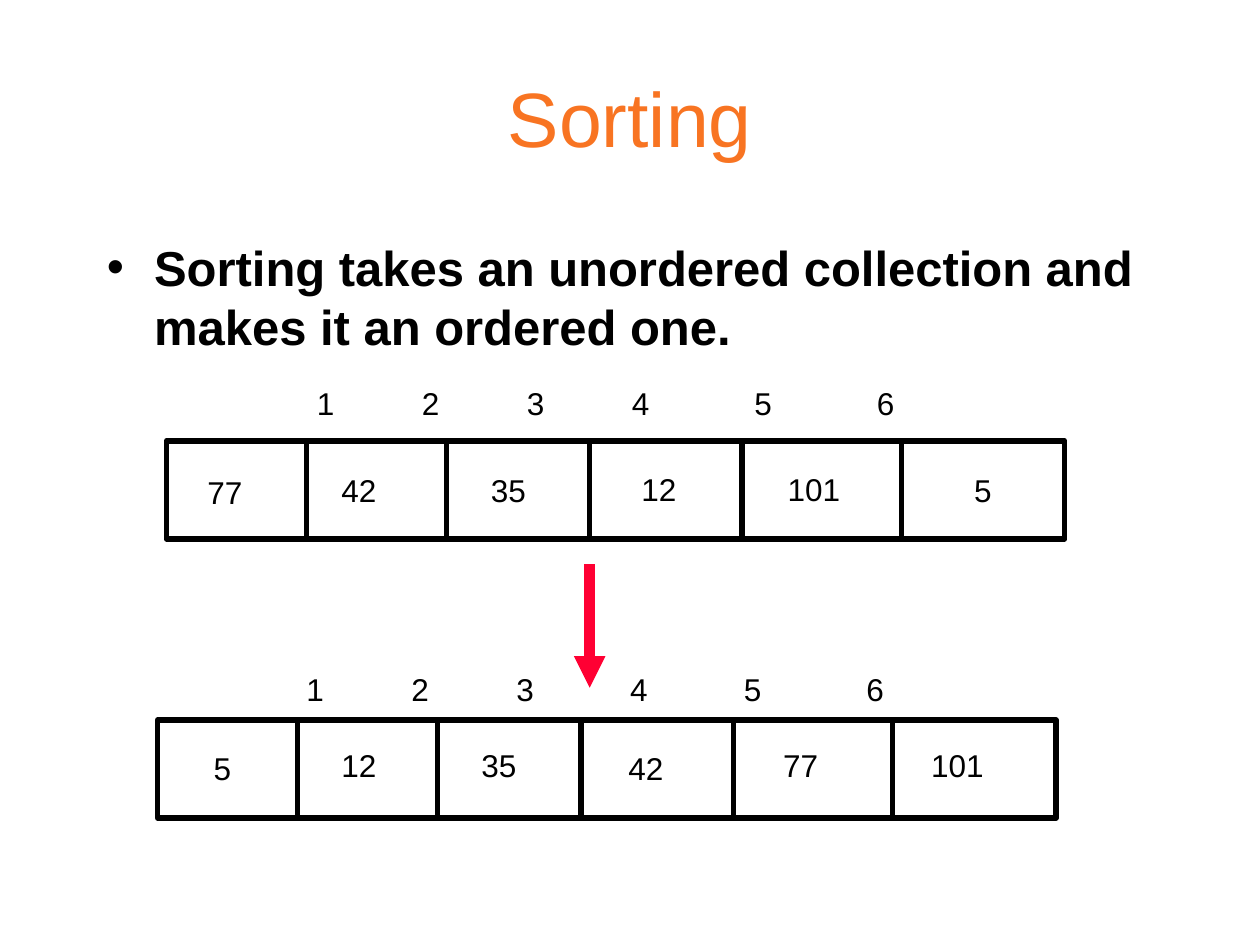
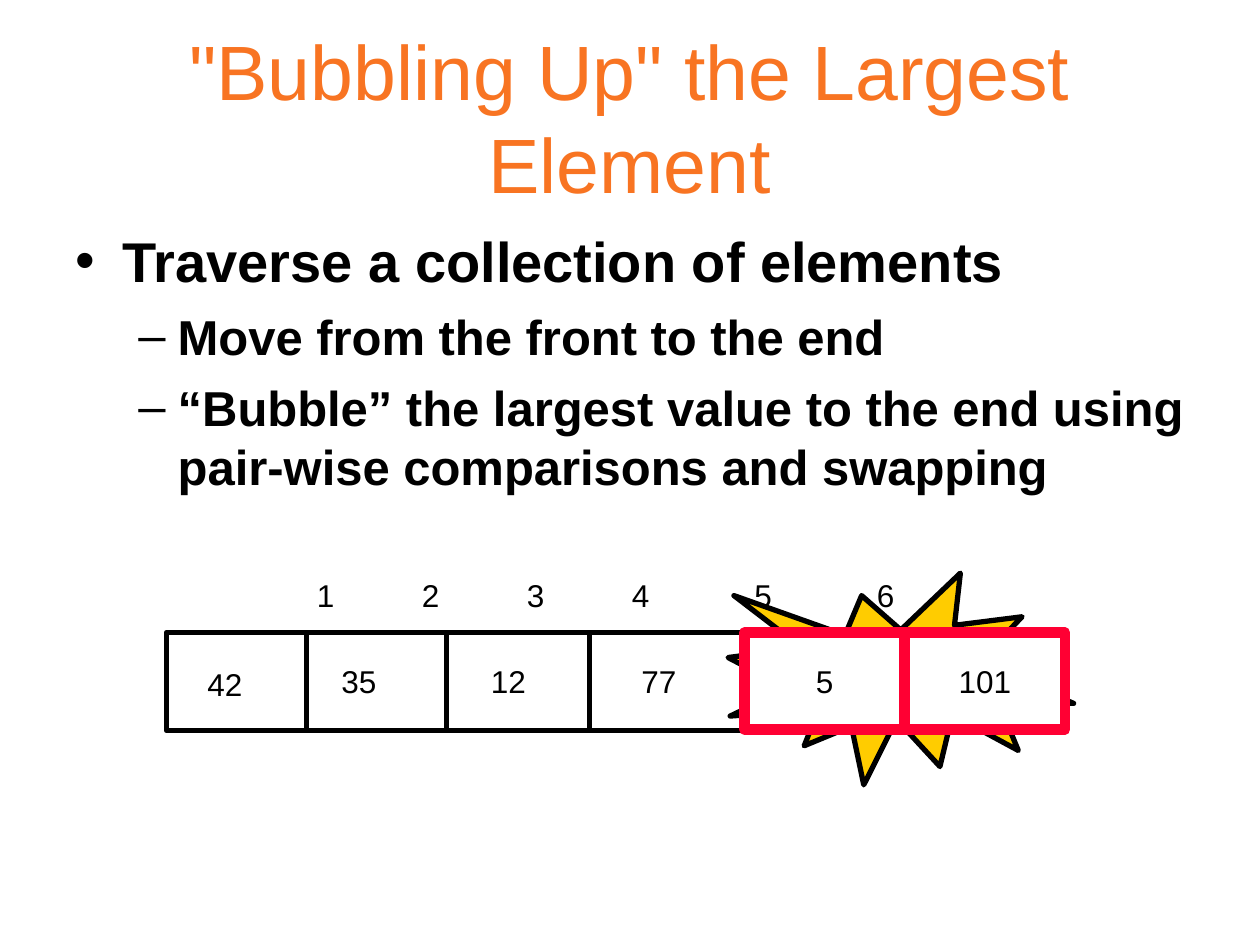
from lxml.etree import SubElement as Sub
from pptx import Presentation
from pptx.dml.color import RGBColor as RGB
from pptx.enum.shapes import MSO_CONNECTOR as Conn, MSO_SHAPE as Kind
from pptx.enum.text import MSO_ANCHOR as Anchor, MSO_AUTO_SIZE as Fit, PP_ALIGN as Align
from pptx.oxml.ns import qn
from pptx.util import Pt

ORANGE, BLACK, WHITE = "F87422", "000000", "FFFFFF"
RED, GOLD = "FF0033", "FFCC00"
EDGES = [0, 80, 160, 242, 329, 420, 513.5]  # cell borders from the row's left
DEEP = 56  # height of a row of cells
MARK_H = 29  # height of a one-line label
LEVELS = [("•", 27, -27), ("–", 58.5, -22.5)]  # bullet, margin, indent


def tint(code):
    """Turn a hex string into a colour."""
    return RGB.from_string(code)


class Deck:
    """Holds the style and the current slide."""

    face = "Arial"

    def __init__(self):
        """Start an empty 10 by 7.5 inch deck."""
        self.file = Presentation()
        self.file.slide_width, self.file.slide_height = Pt(720), Pt(540)
        self.slide = None

    def style(self, para, size, color=BLACK, bold=False):
        """Set the font of a whole paragraph."""
        font = para.font
        font.name, font.size, font.bold = self.face, Pt(size), bold
        font.color.rgb = tint(color)

    def page(self, title):
        """Add a slide with its title."""
        self.slide = self.file.slides.add_slide(self.file.slide_layouts[5])
        head = self.slide.shapes.title
        head.left, head.top, head.width, head.height = map(Pt, (36, 21.5, 648, 90))
        frame = head.text_frame
        frame.text = title
        frame.word_wrap, frame.auto_size = True, Fit.NONE
        frame.vertical_anchor = Anchor.MIDDLE
        para = frame.paragraphs[0]
        para.alignment = Align.CENTER
        self.style(para, 44, ORANGE)

    def box(self, x, y, wide, high):
        """Add an empty text box and return its frame."""
        area = self.slide.shapes.add_textbox(Pt(x), Pt(y), Pt(wide), Pt(high))
        return area.text_frame

    def points(self, x, y, wide, high, items):
        """Add a bulleted list of (level, size, space before, text)."""
        frame = self.box(x, y, wide, high)
        frame.word_wrap = True
        for num, (level, size, gap, text) in enumerate(items):
            para = frame.add_paragraph() if num else frame.paragraphs[0]
            para.text, para.level = text, level
            para.space_before = Pt(gap)
            sign, left, dent = LEVELS[level]
            props = para._p.get_or_add_pPr()
            props.set("marL", str(Pt(left)))
            props.set("indent", str(Pt(dent)))
            hue = Sub(props, qn("a:buClr"))
            Sub(hue, qn("a:srgbClr"), val=BLACK)
            Sub(props, qn("a:buFont"), typeface=self.face)
            Sub(props, qn("a:buChar"), char=sign)
            self.style(para, size, bold=True)

    def label(self, x, y, text, wide=None, stops=()):
        """Add one unwrapped line of text, with tab stops if given."""
        frame = self.box(x, y, wide or 14.4 + 10 * len(text), MARK_H)
        frame.word_wrap, frame.auto_size = False, Fit.SHAPE_TO_FIT_TEXT
        para = frame.paragraphs[0]
        para.text = text
        if stops:
            tabs = Sub(para._p.get_or_add_pPr(), qn("a:tabLst"))
            for stop in stops:
                Sub(tabs, qn("a:tab"), pos=str(Pt(stop)), algn="l")
        self.style(para, 18)

    def index(self, x, y, stops):
        """Add the cell numbers 1 to 6 over a row."""
        self.label(x, y, "\t".join("123456"), 345, stops)

    def shape(self, kind, x, y, wide, high, fill=None, line=BLACK, thick=3, text=""):
        """Add an outlined shape, with a fill and centred text if given."""
        form = self.slide.shapes.add_shape(kind, Pt(x), Pt(y), Pt(wide), Pt(high))
        form.shadow.inherit = False
        form.line.color.rgb, form.line.width = tint(line), Pt(thick)
        if fill:
            form.fill.solid()
            form.fill.fore_color.rgb = tint(fill)
        else:
            form.fill.background()
        if text:
            frame = form.text_frame
            frame.text, frame.word_wrap = text, False
            frame.vertical_anchor = Anchor.MIDDLE
            para = frame.paragraphs[0]
            para.alignment = Align.CENTER
            self.style(para, 18)

    def line(self, x, top, end, color=BLACK, thick=3, arrow=False):
        """Add an upright line, with an arrowhead at its end if asked."""
        rule = self.slide.shapes.add_connector(
            Conn.STRAIGHT, Pt(x), Pt(top), Pt(x), Pt(end))
        rule.line.color.rgb, rule.line.width = tint(color), Pt(thick)
        if arrow:
            Sub(rule.line._get_or_add_ln(), qn("a:tailEnd"), type="triangle")
        Sub(rule._element.spPr, qn("a:effectLst"))

    def row(self, x, y, cells):
        """Add a row of six cells with (text, across, down) values."""
        self.shape(Kind.RECTANGLE, x, y, EDGES[-1], DEEP)
        for edge in EDGES[1:-1]:
            self.line(x + edge, y, y + DEEP)
        for text, across, down in cells:
            self.label(x + across, y + down, text)


SPOTS = [(16.5, 15), (93, 13.5), (178.5, 13.5), (264.5, 13), (348, 13), (454.5, 13.5)]
ORDERED = [(25, 13), (98, 11.5), (178, 11), (262, 13), (350.5, 11.5), (435, 11.5)]
EVEN = (60, 120, 180, 250, 320)
SHIFTED = (60, 120, 185, 250, 320)


def place(values, spots):
    """Pair each value with its spot in the row."""
    return [(text, *spot) for text, spot in zip(values, spots)]


deck = Deck()

deck.page("Sorting")
deck.points(54, 132, 612, 348, [
    (0, 28, 7, "Sorting takes an unordered collection and makes it an ordered one."),
])
deck.row(95, 252, place(["77", "42", "35", "12", "101", "5"], SPOTS))
deck.index(168, 379.5, SHIFTED)
deck.row(90, 411.5, place(["5", "12", "35", "42", "77", "101"], ORDERED))
deck.index(174, 216, EVEN)
deck.line(337, 322.5, 393, RED, 6, arrow=True)

deck.page('"Bubbling Up" the Largest Element')
deck.points(36, 126, 648, 356.5, [
    (0, 32, 8, "Traverse a collection of elements"),
    (1, 28, 7, "Move from the front to the end"),
    (1, 28, 7, "“Bubble” the largest value to the end using "
               "pair-wise comparisons and swapping"),
])
deck.row(95, 361.5, place(["42", "35", "12", "77"], SPOTS))
deck.index(174, 325.5, EVEN)
deck.shape(Kind.EXPLOSION1, 416, 327.5, 197.5, 121, GOLD)
for num, text in enumerate(["5", "101"]):
    deck.shape(Kind.RECTANGLE, 425.5 + 91.5 * num, 361.5, 91.5, 55.5,
               WHITE, RED, 6, text)

deck.file.save("out.pptx")
